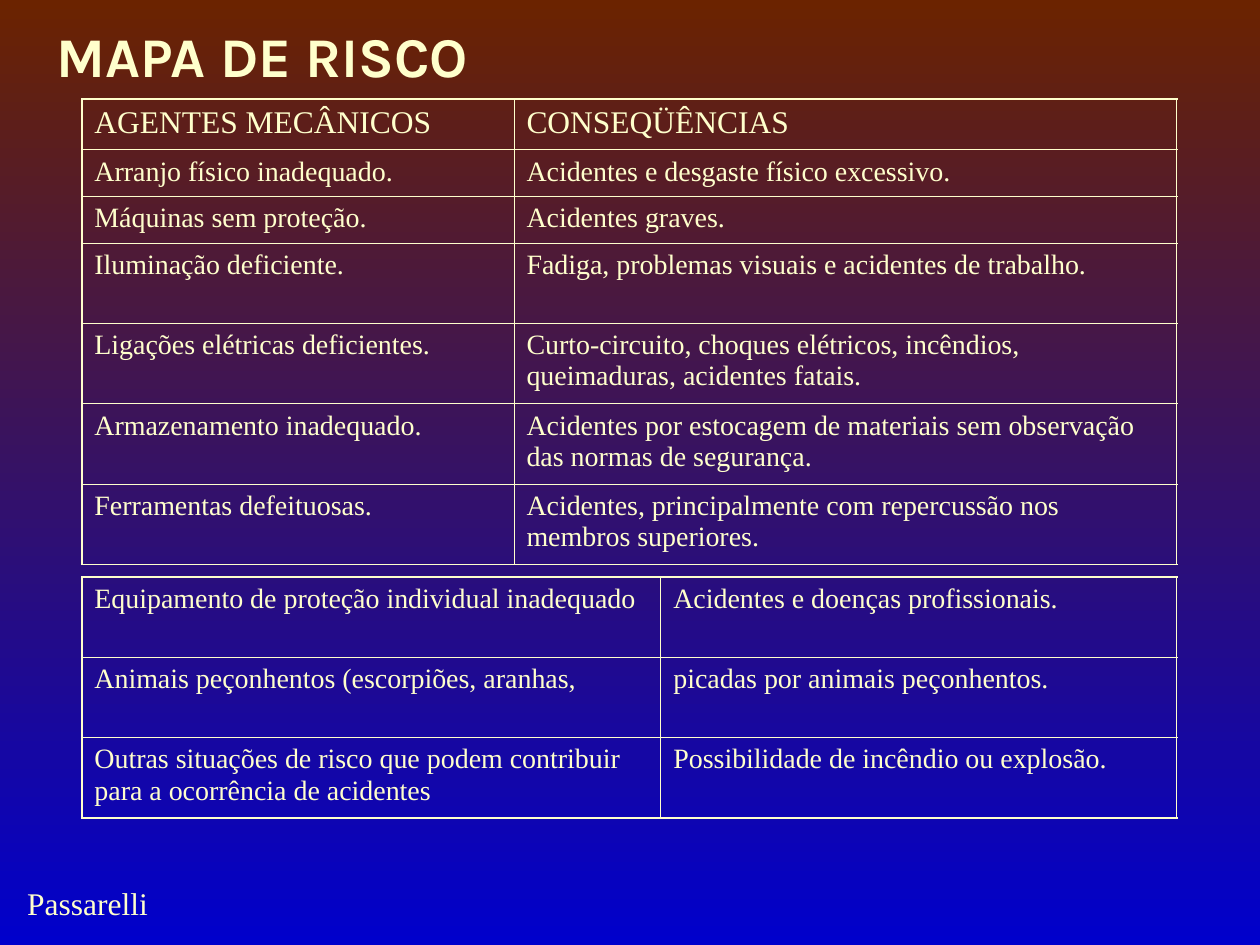
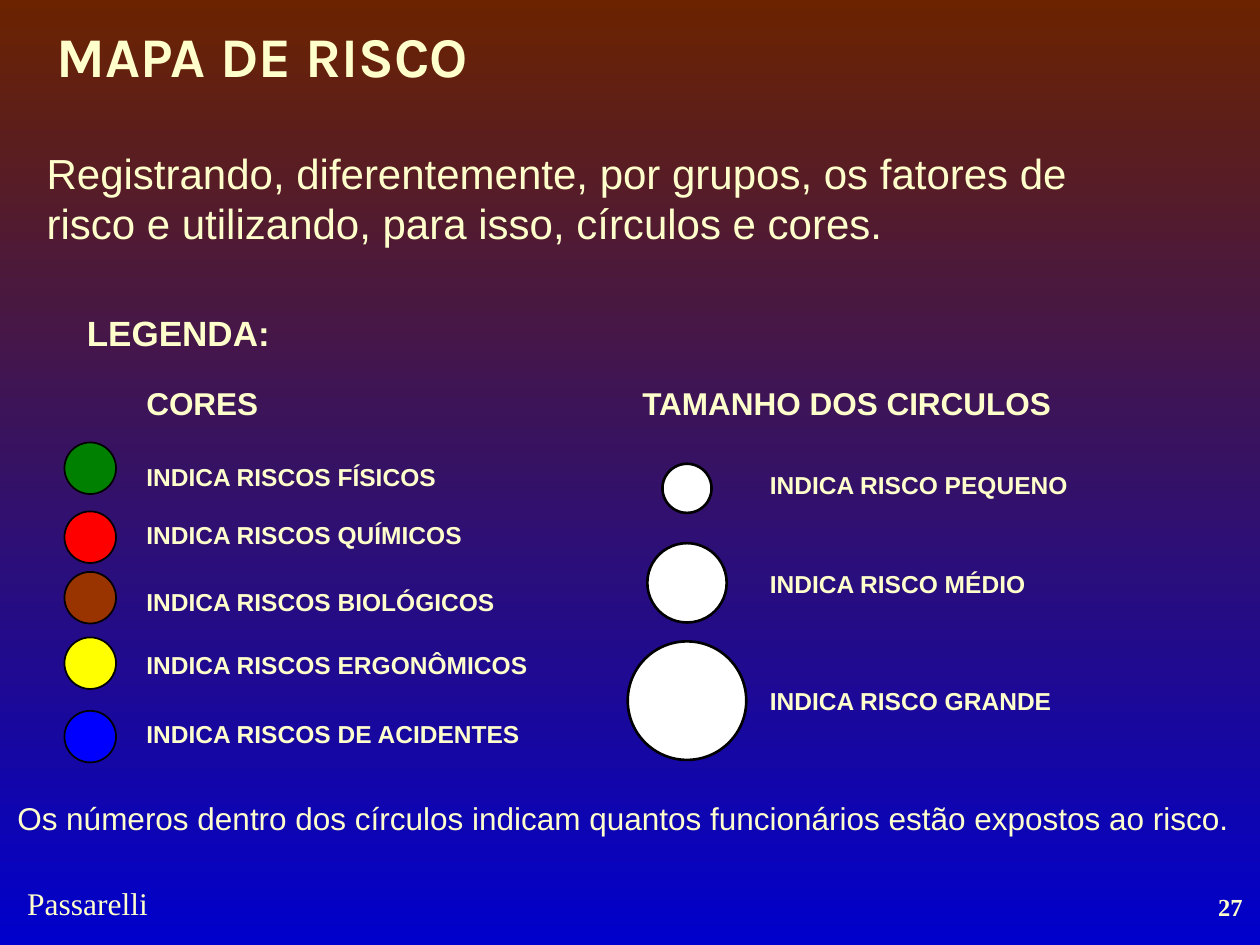
from dataclasses import dataclass

from lxml.etree import SubElement
from pptx import Presentation
from pptx.dml.color import RGBColor as RGB
from pptx.enum.shapes import MSO_SHAPE as SHAPE
from pptx.enum.text import MSO_ANCHOR as ANCHOR, MSO_AUTO_SIZE as AUTOSIZE, PP_ALIGN as ALIGN
from pptx.oxml.ns import qn
from pptx.util import Cm, Pt


@dataclass(frozen=True)
class Theme:
    cream: str = "FFFFCC"
    top: str = "6B2300"
    bottom: str = "0000CC"
    outline: str = "000000"
    white: str = "FFFFFF"
    title_font: str = "Karla"
    serif: str = "Times New Roman"
    sans: str = "Arial"
    title: int = 32
    lead: int = 24
    legend: int = 20
    heading: int = 18
    cell: int = 16
    label: int = 14
    frame_line: float = 1.08
    grid_line: float = 0.45


THEME = Theme()
MARGINS = (0.25, 0.13)
LABEL_MARGINS = (0.05, 0.1)
HEADING_MARGINS = (0.05, 0.03)
TABLE_LEFT, TABLE_WIDTH = 1.65, 22.07
ROW_HEADER, ROW_SINGLE, ROW_DOUBLE = 1.02, 0.94, 1.62

MECHANICAL_AGENTS = [
    (ROW_HEADER, "AGENTES MECÂNICOS", "CONSEQÜÊNCIAS"),
    (ROW_SINGLE, "Arranjo físico inadequado.", "Acidentes e desgaste físico excessivo."),
    (ROW_SINGLE, "Máquinas sem proteção.", "Acidentes graves."),
    (ROW_DOUBLE, "Iluminação deficiente.", "Fadiga, problemas visuais e acidentes de trabalho."),
    (ROW_DOUBLE, "Ligações elétricas deficientes.",
     "Curto-circuito, choques elétricos, incêndios,\nqueimaduras, acidentes fatais."),
    (ROW_DOUBLE, "Armazenamento inadequado.",
     "Acidentes por estocagem de materiais sem observação das normas de segurança."),
    (ROW_DOUBLE, "Ferramentas defeituosas.",
     "Acidentes, principalmente com repercussão nos\nmembros superiores."),
]
OTHER_AGENTS = [
    (ROW_DOUBLE, "Equipamento de proteção individual inadequado",
     "Acidentes e doenças profissionais."),
    (ROW_DOUBLE, "Animais peçonhentos (escorpiões, aranhas,", "picadas por animais peçonhentos."),
    (ROW_DOUBLE, "Outras situações de risco que podem contribuir para a ocorrência de acidentes",
     "Possibilidade de incêndio ou explosão."),
]

# label, colour, circle top, label top, label width
RISK_COLOURS = [
    ("INDICA RISCOS FÍSICOS", "008000", 8.92, 9.22, 6.4),
    ("INDICA RISCOS QUÍMICOS", "FF0000", 10.31, 10.39, 6.99),
    ("INDICA RISCOS BIOLÓGICOS", "993300", 11.53, 11.73, 7.54),
    ("INDICA RISCOS ERGONÔMICOS", "FFFF00", 12.85, 13, 8.13),
    ("INDICA RISCOS DE ACIDENTES", "0000FF", 14.33, 14.4, 8.69),
]
# label, diameter, circle top, label top, label width
RISK_SIZES = [
    ("INDICA RISCO PEQUENO", 0.99, 9.35, 9.35, 7.24),
    ("INDICA RISCO MÉDIO", 1.6, 10.95, 11.35, 5.66),
    ("INDICA RISCO GRANDE", 2.39, 12.93, 13.69, 6.2),
]


def write(frame, text, size=THEME.label, font=THEME.sans, bold=False, align=ALIGN.LEFT):
    frame.text = text
    for paragraph in frame.paragraphs:
        paragraph.alignment = align
        paragraph.space_before = Pt(0)
        paragraph.font.size = Pt(size)
        paragraph.font.name = font
        paragraph.font.bold = bold
        paragraph.font.color.rgb = RGB.from_string(THEME.cream)


def set_margins(frame, margins):
    frame.margin_left = frame.margin_right = Cm(margins[0])
    frame.margin_top = frame.margin_bottom = Cm(margins[1])


def add_text(slide, text, left, top, width, height, margins=MARGINS, **style):
    frame = slide.shapes.add_textbox(Cm(left), Cm(top), Cm(width), Cm(height)).text_frame
    frame.word_wrap = True
    frame.vertical_anchor = ANCHOR.TOP
    set_margins(frame, margins)
    write(frame, text, **style)


def add_circle(slide, left, top, diameter, colour, line_width):
    circle = slide.shapes.add_shape(
        SHAPE.OVAL, Cm(left), Cm(top), Cm(diameter), Cm(diameter))
    circle.shadow.inherit = False
    circle.fill.solid()
    circle.fill.fore_color.rgb = RGB.from_string(colour)
    circle.line.color.rgb = RGB.from_string(THEME.outline)
    circle.line.width = Pt(line_width)


def set_borders(cell, outer_sides):
    """Draw all four borders, heavier on the sides at the table's edge."""
    properties = cell._tc.get_or_add_tcPr()
    for side in "LRTB":
        width = THEME.frame_line if side in outer_sides else THEME.grid_line
        line = SubElement(properties, qn(f"a:ln{side}"), w=str(Pt(width)))
        fill = SubElement(line, qn("a:solidFill"))
        SubElement(fill, qn("a:srgbClr"), val=THEME.cream)


def add_risk_table(slide, top, first_width, rows):
    height = sum(row[0] for row in rows)
    table = slide.shapes.add_table(
        len(rows), 2, Cm(TABLE_LEFT), Cm(top), Cm(TABLE_WIDTH), Cm(height)).table
    table.first_row = table.horz_banding = False
    table.columns[0].width = Cm(first_width)
    table.columns[1].width = Cm(TABLE_WIDTH - first_width)
    for index, (row_height, *texts) in enumerate(rows):
        table.rows[index].height = Cm(row_height)
        size = THEME.heading if row_height == ROW_HEADER else THEME.cell
        edges = ("T" if index == 0 else "") + ("B" if index == len(rows) - 1 else "")
        for column, text in enumerate(texts):
            cell = table.cell(index, column)
            set_borders(cell, edges + "LR"[column])
            cell.fill.background()
            write(cell.text_frame, text, size=size, font=THEME.serif)


def set_background(master):
    fill = master.background.fill
    fill.gradient()
    fill.gradient_angle = 270
    for stop, colour in zip(fill.gradient_stops, (THEME.top, THEME.bottom)):
        stop.color.rgb = RGB.from_string(colour)


def add_risk_slide(deck):
    """Add a slide with the shared title and author footer."""
    slide = deck.slides.add_slide(deck.slide_layouts[5])
    title = slide.shapes.title
    title.left, title.top, title.width, title.height = Cm(0), Cm(0.3), Cm(10.59), Cm(1.63)
    frame = title.text_frame
    frame.auto_size = AUTOSIZE.NONE
    frame.vertical_anchor = ANCHOR.TOP
    set_margins(frame, MARGINS)
    write(frame, "MAPA DE RISCO", size=THEME.title, font=THEME.title_font,
          bold=True, align=ALIGN.CENTER)
    add_text(slide, "Passarelli", 0.3, 17.7, 3, 1.02, size=THEME.heading, font=THEME.serif)
    return slide


def build_agents_slide(deck):
    slide = add_risk_slide(deck)
    add_risk_table(slide, 2, 8.71, MECHANICAL_AGENTS)
    add_risk_table(slide, 11.63, 11.67, OTHER_AGENTS)


def build_legend_slide(deck):
    slide = add_risk_slide(deck)
    add_text(slide, "27", 20.02, 17.86, 5.28, 1.19, font=THEME.serif, bold=True,
             align=ALIGN.RIGHT)
    add_text(slide, "Registrando, diferentemente, por grupos, os fatores de risco e "
             "utilizando, para isso, círculos e cores.", 0.69, 2.84, 23.01, 2.29,
             size=THEME.lead)
    add_text(slide, "LEGENDA:", 1.7, 6.25, 6.4, 1.07, HEADING_MARGINS,
             size=THEME.legend, bold=True)
    for heading, left, width in (("CORES", 2.9, 3.61), ("TAMANHO DOS CIRCULOS", 12.9, 8.48)):
        add_text(slide, heading, left, 7.72, width, 0.79, HEADING_MARGINS,
                 size=THEME.heading, bold=True)
    for label, colour, circle_top, label_top, width in RISK_COLOURS:
        add_circle(slide, 1.3, circle_top, 1.04, colour, 1)
        add_text(slide, label, 2.9, label_top, width, 1.12, LABEL_MARGINS, bold=True)
    for label, diameter, circle_top, label_top, width in RISK_SIZES:
        add_circle(slide, 13.85 - diameter / 2, circle_top, diameter, THEME.white, 1.5)
        add_text(slide, label, 15.47, label_top, width, 0.99, (0.05, 0.13), bold=True)
    add_text(slide, "Os números dentro dos círculos indicam quantos funcionários estão "
             "expostos ao risco.", 0.3, 16, 25.1, 1.32, LABEL_MARGINS, size=THEME.heading)


def main():
    deck = Presentation()
    deck.slide_width, deck.slide_height = Cm(25.4), Cm(19.05)
    set_background(deck.slide_master)
    build_agents_slide(deck)
    build_legend_slide(deck)
    deck.save("out.pptx")


if __name__ == "__main__":
    main()
